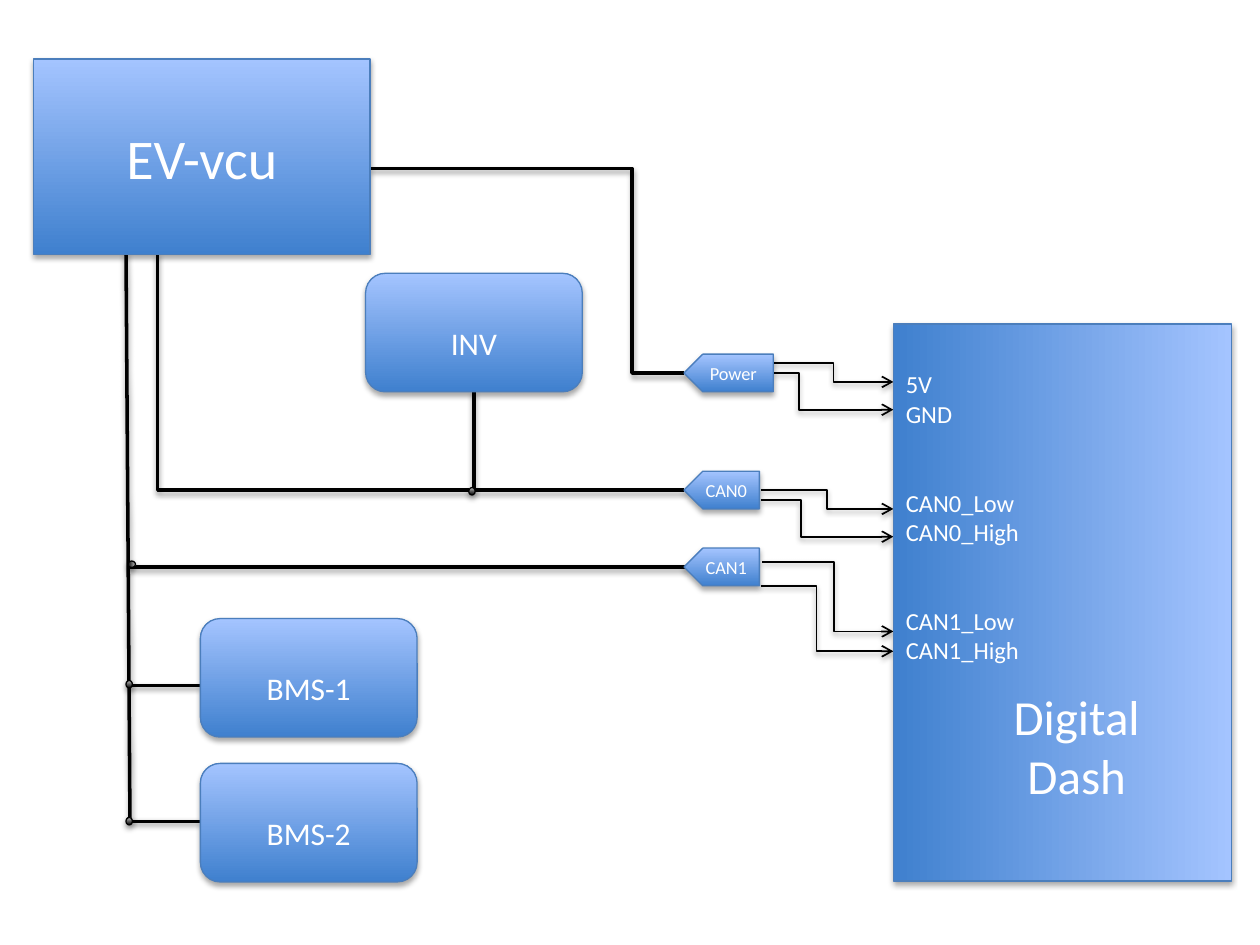
from lxml.etree import SubElement
from pptx import Presentation
from pptx.dml.color import RGBColor
from pptx.enum.shapes import MSO_CONNECTOR as Connector, MSO_SHAPE as Shape
from pptx.enum.text import MSO_ANCHOR as Anchor, PP_ALIGN as Align
from pptx.oxml.ns import qn
from pptx.util import Cm, Pt

THEME = {
    "font": "Calibri",
    "text": RGBColor(0xFF, 0xFF, 0xFF),
    "wire": RGBColor(0x00, 0x00, 0x00),
    "block": ("3F80CE", "A4C4FF", "4B7EBC"),
    "joint": ("000000", "BDBDBD", "000000"),
    "sizes": {"unit": 32, "title": 28, "module": 18, "pin": 14, "tag": 10.5},
}

presentation = Presentation()
presentation.slide_width, presentation.slide_height = Cm(25.4), Cm(19.05)
slide = presentation.slides.add_slide(presentation.slide_layouts[6])


def add_shadow(shape, distance, opacity):
    """Give a shape or connector a soft shadow that falls straight down."""
    effects = SubElement(shape._element.spPr, qn("a:effectLst"))
    shadow = SubElement(effects, qn("a:outerShdw"), blurRad="40000", dist=str(distance),
                        dir="5400000", rotWithShape="0")
    color = SubElement(shadow, qn("a:srgbClr"), val="000000")
    SubElement(color, qn("a:alpha"), val=str(opacity * 1000))


def write(shape, lines, size, alignment=Align.CENTER):
    """Put lines of text into a shape and format them."""
    shape.text_frame.word_wrap = True
    shape.text_frame.text = "\n".join(lines)
    for paragraph in shape.text_frame.paragraphs:
        paragraph.alignment = alignment
        font = paragraph.runs[0].font
        font.name, font.size = THEME["font"], Pt(THEME["sizes"][size])
        font.color.rgb = THEME["text"]


# Wires: start x, start y, end x, end y, bend position (None is straight), width
signal_end = 18.01
signals = [
    (15.37, 11.33, 12.73, 0.545), (15.34, 11.81, 13.13, 0.419),
    (15.34, 9.88, 10.26, 0.5), (15.34, 10.08, 10.82, 0.302),
    (15.6, 7.32, 7.7, 0.5), (15.6, 7.52, 8.26, 0.211),
]
wires = [
    (3.18, 5.11, 13.79, 9.88, 0, 2),
    (2.54, 5.11, 2.62, 16.56, None, 2),
    (4.04, 16.56, 2.64, 16.56, None, 2),
    (4.04, 13.82, 2.64, 13.82, None, 2),
    (9.55, 7.9, 9.55, 9.88, None, 2),
    (13.84, 11.43, 2.59, 11.43, None, 2),
    (7.47, 3.4, 13.79, 7.52, 0.834, 2),
] + [(x, start, signal_end, end, bend, 1) for x, start, end, bend in signals]

# Blocks: preset, left, top, width, height, text, text size, colours, rotation
module_size, tag_left, tag_height = (4.37, 2.39), 13.79, 0.76
blocks = [
    (Shape.RECTANGLE, 0.68, 1.19, 6.78, 3.94, "EV-vcu", "unit", "block", 0),
    (Shape.RECTANGLE, 15.8, 8.74, 11.23, 6.81, None, None, "block", 90),
]
for name, left, top in [("INV", 7.37, 5.51), ("BMS-1", 4.04, 12.47), ("BMS-2", 4.04, 15.39)]:
    blocks.append((Shape.ROUNDED_RECTANGLE, left, top, *module_size, name, "module", "block", 0))
for name, top, width in [("Power", 7.14, 1.8), ("CAN0", 9.5, 1.52), ("CAN1", 11.05, 1.52)]:
    blocks.append((Shape.PENTAGON, tag_left, top, width, tag_height, name, "tag", "block", 0))
joints = [(9.45, 9.83, 0), (2.54, 13.72, 0), (2.54, 16.48, 0), (2.59, 11.3, 90)]
for left, top, rotation in joints:
    blocks.append((Shape.OVAL, left, top, 0.13, 0.15, None, None, "joint", rotation))

for x1, y1, x2, y2, bend, width in wires:
    kind = Connector.STRAIGHT if bend is None else Connector.ELBOW
    wire = slide.shapes.add_connector(kind, Cm(x1), Cm(y1), Cm(x2), Cm(y2))
    wire.line.color.rgb, wire.line.width = THEME["wire"], Pt(width)
    if bend is not None:
        adjustments = wire._element.spPr.find(qn("a:prstGeom")).get_or_add_avLst()
        SubElement(adjustments, qn("a:gd"), name="adj1", fmla=f"val {round(bend * 100000)}")
    if x2 == signal_end:
        SubElement(wire.line._get_or_add_ln(), qn("a:tailEnd"), type="arrow")
    add_shadow(wire, 20000, 38)

for preset, left, top, width, height, text, size, colors, rotation in blocks:
    block = slide.shapes.add_shape(preset, Cm(left), Cm(top), Cm(width), Cm(height))
    block.rotation = rotation
    start, end, outline = (RGBColor.from_string(color) for color in THEME[colors])
    block.fill.gradient()
    block.fill.gradient_angle = 90
    for stop, color, position in zip(block.fill.gradient_stops, (start, end), (0, 1)):
        stop.color.rgb, stop.position = color, position
    block.line.color.rgb, block.line.width = outline, Pt(0.75)
    add_shadow(block, 23000, 35)
    if text:
        write(block, [text], size)
    frame = block.text_frame
    if size == "module":
        frame.vertical_anchor, frame.margin_top = Anchor.TOP, Cm(0.9)
    elif size == "tag":
        block._element.spPr.xfrm.set("flipH", "1")
        frame.margin_left = frame.margin_right = 0

pins = slide.shapes.add_textbox(Cm(18.01), Cm(7.32), Cm(4.95), Cm(7.01))
write(pins, ["5V", "GND", "CAN0_Low", "CAN0_High", "CAN1_Low", "CAN1_High"], "pin", Align.LEFT)
for paragraph in pins.text_frame.paragraphs[2::2]:
    paragraph.space_before = Pt(34)

title = slide.shapes.add_textbox(Cm(20.17), Cm(13.72), Cm(3.07), Cm(2.64))
write(title, ["Digital", "Dash"], "title")

presentation.save("out.pptx")
